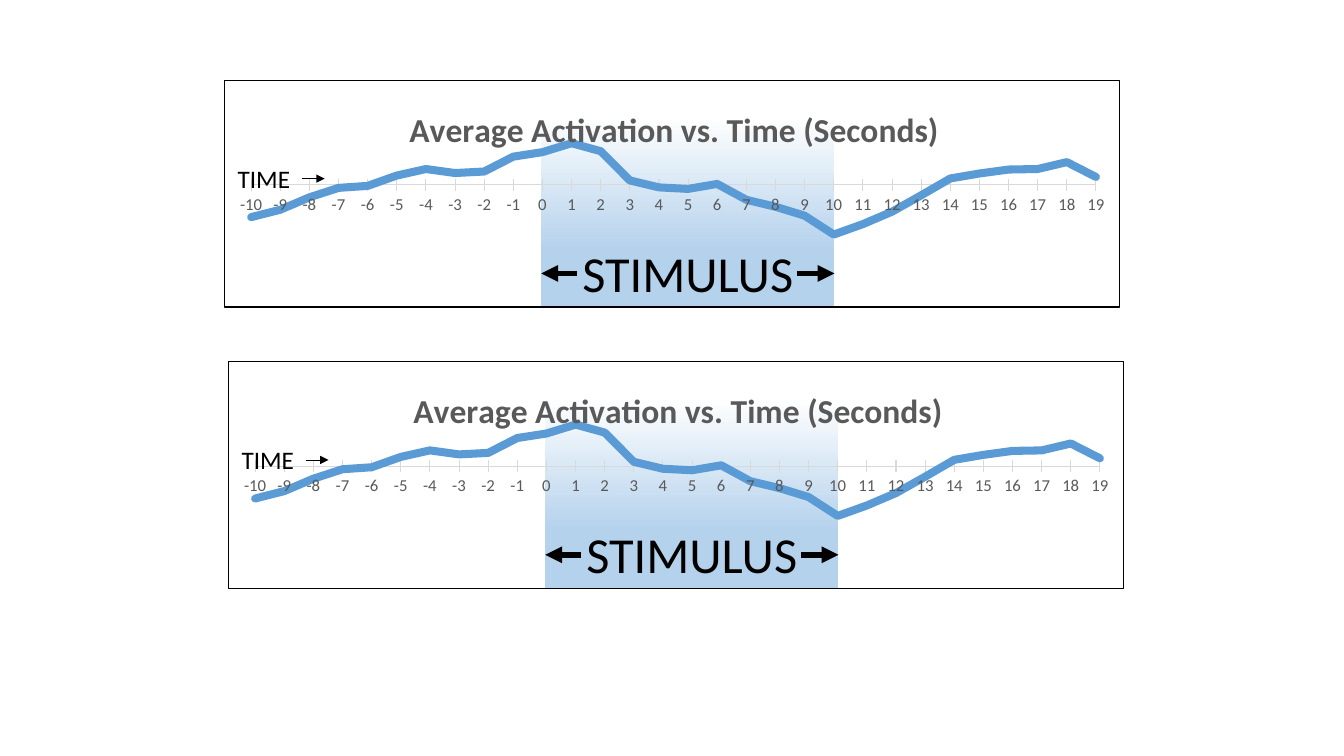
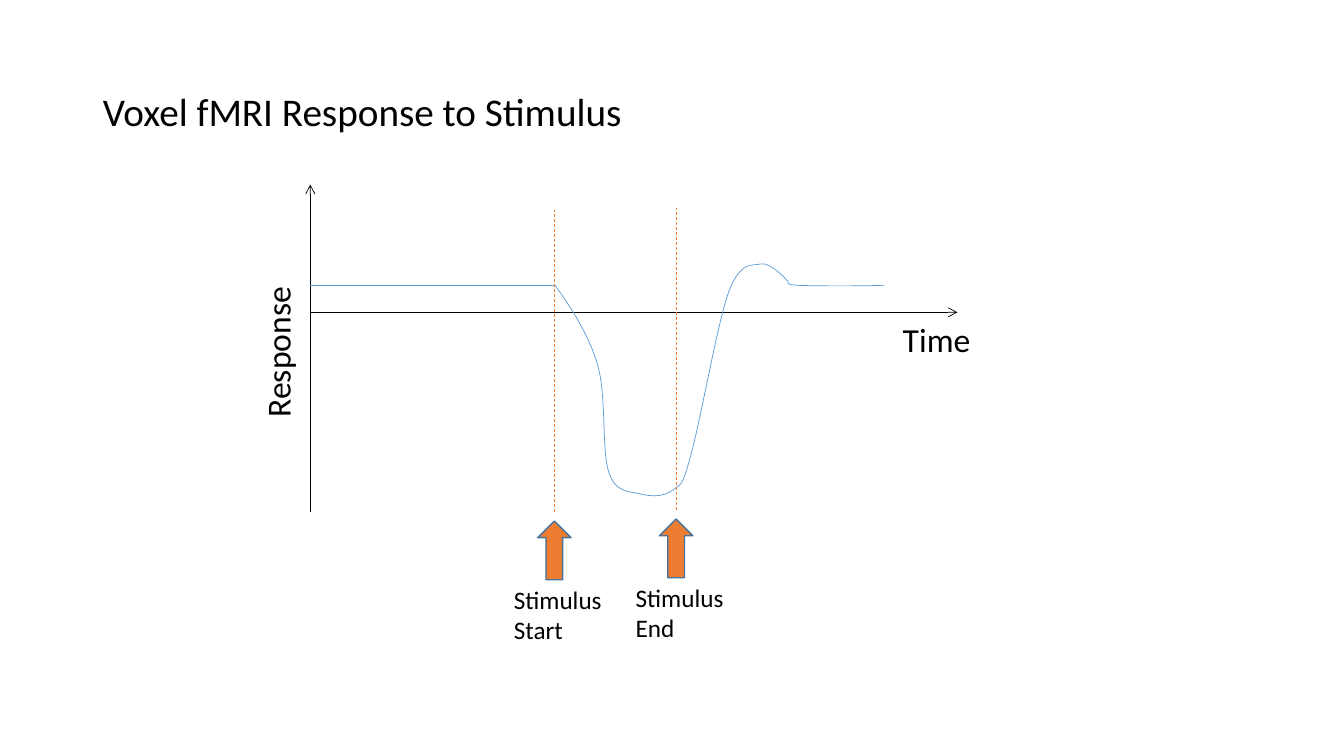
from lxml import etree
from pptx import Presentation
from pptx.chart.data import CategoryChartData
from pptx.dml.color import RGBColor
from pptx.enum.chart import XL_CHART_TYPE, XL_TICK_LABEL_POSITION, XL_TICK_MARK
from pptx.enum.dml import MSO_LINE
from pptx.enum.shapes import MSO_CONNECTOR, MSO_SHAPE
from pptx.enum.text import MSO_ANCHOR, MSO_AUTO_SIZE, PP_ALIGN
from pptx.oxml import parse_xml
from pptx.oxml.ns import nsdecls, qn
from pptx.util import Cm, Pt

LINE_CHART = XL_CHART_TYPE.LINE
NO_LABELS = XL_TICK_LABEL_POSITION.NONE
TICK_CROSS, TICK_NONE = XL_TICK_MARK.CROSS, XL_TICK_MARK.NONE
DASH = MSO_LINE.DASH
STRAIGHT = MSO_CONNECTOR.STRAIGHT
RECTANGLE, UP_ARROW = MSO_SHAPE.RECTANGLE, MSO_SHAPE.UP_ARROW
MIDDLE, BOTTOM = MSO_ANCHOR.MIDDLE, MSO_ANCHOR.BOTTOM
FIT_SHAPE, NO_FIT = MSO_AUTO_SIZE.SHAPE_TO_FIT_TEXT, MSO_AUTO_SIZE.NONE
LEFT, CENTER = PP_ALIGN.LEFT, PP_ALIGN.CENTER

FONT = "Calibri"
BLACK, WHITE, GREY, PALE_GREY = "000000", "FFFFFF", "595959", "D9D9D9"
BLUE, PALE_BLUE, DARK_BLUE, ORANGE = "5B9BD5", "B5D2EC", "43739E", "ED7D31"
TITLE_LAYOUT, BLANK_LAYOUT = 5, 6

SECONDS = range(-10, 20)
ACTIVATION = [-65, -50, -25, -6, -2, 19, 32, 24, 27, 57, 66, 84, 68, 9, -5,
              -8, 2, -30, -44, -62, -100, -79, -54, -21, 13, 23, 31, 32, 46, 16]

RESPONSE_START = (13.97, 7.16)
RESPONSE_CURVES = [
    (14.4, 7.77), (14.83, 8.41), (15.06, 9.19),
    (15.29, 9.98), (15.16, 11.35), (15.34, 11.89),
    (15.52, 12.45), (15.88, 12.37), (16.15, 12.45),
    (16.43, 12.52), (16.74, 12.52), (16.97, 12.34),
    (17.17, 12.19), (17.2, 12.27), (17.42, 11.43),
    (17.65, 10.62), (18.08, 8.15), (18.36, 7.37),
    (18.67, 6.55), (18.95, 6.71), (19.18, 6.65),
    (19.41, 6.6), (19.81, 7.04), (19.81, 7.04),
    (19.96, 7.11), (19.69, 7.16), (20.09, 7.19),
    (20.5, 7.21), (21.79, 7.21), (22.28, 7.19),
]


def rgb(value):
    """Turn a hex string into a colour."""
    return RGBColor.from_string(value)


def apply(target, **values):
    """Set each given attribute on the target."""
    for name, value in values.items():
        setattr(target, name, value)


def style_font(font, size, color=BLACK, bold=False):
    """Give a font the shared face with a size and colour."""
    apply(font, name=FONT, size=Pt(size), bold=bold)
    font.color.rgb = rgb(color)


def style_line(line, color, width):
    """Give a line a colour and a width in points."""
    line.color.rgb = rgb(color)
    line.width = Pt(width)


def write(tf, text, size, align=LEFT):
    """Write each line of the text as a paragraph."""
    tf.text = text
    for p in tf.paragraphs:
        p.alignment = align
        style_font(p.runs[0].font, size)


def add_text(shapes, text, box, size, vert=None):
    """Add an unwrapped text box that grows with its text."""
    tb = shapes.add_textbox(*map(Cm, box))
    apply(tb.text_frame, word_wrap=False, auto_size=FIT_SHAPE)
    write(tb.text_frame, text, size)
    if vert:
        tb.element.xpath(".//a:bodyPr")[0].set("vert", vert)


def add_line(shapes, start, end, color=BLACK, width=0.5, head=None, dash=None):
    """Add a straight line, dashed or with an arrowhead if asked."""
    line = shapes.add_connector(STRAIGHT, *map(Cm, start + end))
    style_line(line.line, color, width)
    if dash:
        line.line.dash_style = dash
    if head:
        ln = line.element.xpath(".//a:ln")[0]
        etree.SubElement(ln, qn("a:tailEnd")).set("type", head)
    etree.SubElement(line.element.spPr, qn("a:effectLst"))


def add_curve(shapes, start, controls, color):
    """Add an open outline of cubic curves, three points to each curve."""
    builder = shapes.build_freeform(*map(Cm, start))
    builder.add_line_segments([(Cm(x), Cm(y)) for x, y in controls], close=False)
    sp = builder.convert_to_shape()
    sp.shadow.inherit = False
    sp.fill.background()
    style_line(sp.line, color, 0.5)
    segments = sp.element.xpath(".//a:lnTo")
    for i in range(0, len(segments), 3):
        curve = etree.Element(qn("a:cubicBezTo"))
        segments[i].addprevious(curve)
        for segment in segments[i:i + 3]:
            curve.append(segment[0])
            segment.getparent().remove(segment)


def add_stimulus_band(shapes, box):
    """Add the shaded band that marks the stimulus."""
    sp = shapes.add_shape(RECTANGLE, *map(Cm, box))
    sp.shadow.inherit = False
    sp.line.fill.background()
    sp.fill.gradient()
    sp.fill.gradient_angle = 270
    for stop, color, position in zip(sp.fill.gradient_stops, (WHITE, PALE_BLUE), (0, 0.7)):
        stop.color.rgb = rgb(color)
        stop.position = position
    sp.text_frame.vertical_anchor = BOTTOM
    write(sp.text_frame, "STIMULUS", 36, CENTER)


def set_layout(parent, index, target="", **fractions):
    """Place a chart part by fractions of the chart area."""
    for old in parent.xpath("c:layout"):
        parent.remove(old)
    items = {"xMode": "edge", "yMode": "edge", **fractions}
    inner = f'<c:layoutTarget val="{target}"/>' if target else ""
    inner += "".join(f'<c:{key} val="{value}"/>' for key, value in items.items())
    parent.insert(index, parse_xml(
        f'<c:layout {nsdecls("c")}><c:manualLayout>{inner}</c:manualLayout></c:layout>'))


def unfilled(border=None):
    """Make chart shape properties without fill, with an optional border."""
    paint = f'<a:solidFill><a:srgbClr val="{border}"/></a:solidFill>' if border else "<a:noFill/>"
    return parse_xml(f'<c:spPr {nsdecls("c", "a")}><a:noFill/>'
                     f'<a:ln w="{Pt(0.75)}">{paint}</a:ln></c:spPr>')


def style_axes(chart):
    """Format both axes and let the line start on the value axis."""
    cat, val = chart.category_axis, chart.value_axis
    apply(cat, major_tick_mark=TICK_CROSS, minor_tick_mark=TICK_NONE,
          has_major_gridlines=False)
    style_line(cat.format.line, PALE_GREY, 0.75)
    apply(val, major_tick_mark=TICK_NONE, minor_tick_mark=TICK_NONE,
          has_major_gridlines=False, tick_label_position=NO_LABELS,
          minimum_scale=-150, maximum_scale=100)
    val.format.line.fill.background()
    axis = chart.element.xpath(".//c:valAx")[0]
    for old in axis.xpath("c:crossBetween"):
        axis.remove(old)
    axis.xpath("c:crosses")[0].addnext(
        parse_xml(f'<c:crossBetween {nsdecls("c")} val="midCat"/>'))


def add_activation_chart(shapes, box):
    """Add the line chart of activation over time."""
    data = CategoryChartData()
    data.categories = [str(second) for second in SECONDS]
    data.add_series("Series 1", ACTIVATION)
    chart = shapes.add_chart(LINE_CHART, *map(Cm, box), data).chart
    apply(chart, has_legend=False, has_title=True)
    style_font(chart.font, 12, GREY)
    style_axes(chart)
    tf = chart.chart_title.text_frame
    tf.text = "Average Activation vs. Time (Seconds)"
    style_font(tf.paragraphs[0].runs[0].font, 24, GREY, bold=True)
    plot = chart.plots[0]
    plot.vary_by_categories = False
    series = plot.series[0]
    series.smooth = False
    style_line(series.format.line, BLUE, 5.75)
    root = chart.element
    root.xpath(".//c:ser//a:ln")[0].set("cap", "rnd")
    set_layout(root.xpath(".//c:title")[0], 1, x=0.2, y=0.09)
    area = root.xpath(".//c:plotArea")[0]
    set_layout(area, 0, "inner", x=0.03, y=0.243, w=0.944, h=0.547)
    area.append(unfilled())
    root.xpath("c:chart")[0].addnext(unfilled(BLACK))


def add_activation_figure(shapes, left, top):
    """Add the chart with its stimulus band and time label."""
    band_left, band_right, arrow_y = left + 8, left + 15.39, top + 4.88
    add_stimulus_band(shapes, (band_left, top + 0.89, band_right - band_left, 4.85))
    add_activation_chart(shapes, (left, top, 22.58, 5.74))
    for edge, inset in ((band_right, -0.94), (band_left, 0.89)):
        add_line(shapes, (edge + inset, arrow_y), (edge, arrow_y), width=4, head="triangle")
    add_text(shapes, "TIME", (left + 0.1, top + 1.98, 1.85, 1.02), 18)
    add_line(shapes, (left + 1.96, top + 2.49), (left + 2.54, top + 2.49), head="triangle")


def add_stimulus_marker(shapes, x, top, label):
    """Add a dashed line with an arrow and a label below it."""
    add_line(shapes, (x, top + 7.62), (x, top), ORANGE, dash=DASH)
    sp = shapes.add_shape(UP_ARROW, *map(Cm, (x - 0.42, top + 7.85, 0.84, 1.48)))
    sp.shadow.inherit = False
    sp.fill.solid()
    sp.fill.fore_color.rgb = rgb(ORANGE)
    style_line(sp.line, DARK_BLUE, 1)
    add_text(shapes, label, (x - 1.27, top + 9.32, 2.74, 1.8), 18)


def set_title(s, text):
    """Place and format the slide title."""
    title = s.shapes.title
    box = map(Cm, (2.34, 1.02, 29.21, 3.68))
    apply(title, **dict(zip(("left", "top", "width", "height"), box)))
    tf = title.text_frame
    apply(tf, vertical_anchor=MIDDLE, auto_size=NO_FIT)
    write(tf, text, 28)
    tf.paragraphs[0].line_spacing = 0.9


def build_activation_slide(prs):
    """Build the slide with two activation figures."""
    s = prs.slides.add_slide(prs.slide_layouts[BLANK_LAYOUT])
    add_activation_figure(s.shapes.add_group_shape().shapes, 5.64, 2.01)
    add_activation_figure(s.shapes, 5.74, 9.1)


def build_response_slide(prs):
    """Build the slide with the response sketch."""
    s = prs.slides.add_slide(prs.slide_layouts[TITLE_LAYOUT])
    set_title(s, "Voxel fMRI Response to Stimulus")
    axis_x, axis_y, rest_y = 7.82, 7.87, 7.19
    add_line(s.shapes, (axis_x, 12.9), (axis_x, 4.65), head="arrow")
    add_line(s.shapes, (axis_x, axis_y), (24.13, axis_y), head="arrow")
    add_line(s.shapes, (axis_x, rest_y), (13.97, rest_y), BLUE)
    add_curve(s.shapes, RESPONSE_START, RESPONSE_CURVES, BLUE)
    add_text(s.shapes, "Response", (6.35, 7.19, 1.55, 3.58), 24, "vert270")
    add_text(s.shapes, "Time", (22.5, 7.9, 2.24, 1.27), 24)
    add_stimulus_marker(s.shapes, 13.97, 5.28, "Stimulus\nStart")
    add_stimulus_marker(s.shapes, 17.04, 5.23, "Stimulus\nEnd")


def main():
    """Build and save the presentation."""
    prs = Presentation()
    apply(prs, slide_width=Cm(33.87), slide_height=Cm(19.05))
    build_activation_slide(prs)
    build_response_slide(prs)
    prs.save("out.pptx")


if __name__ == "__main__":
    main()
